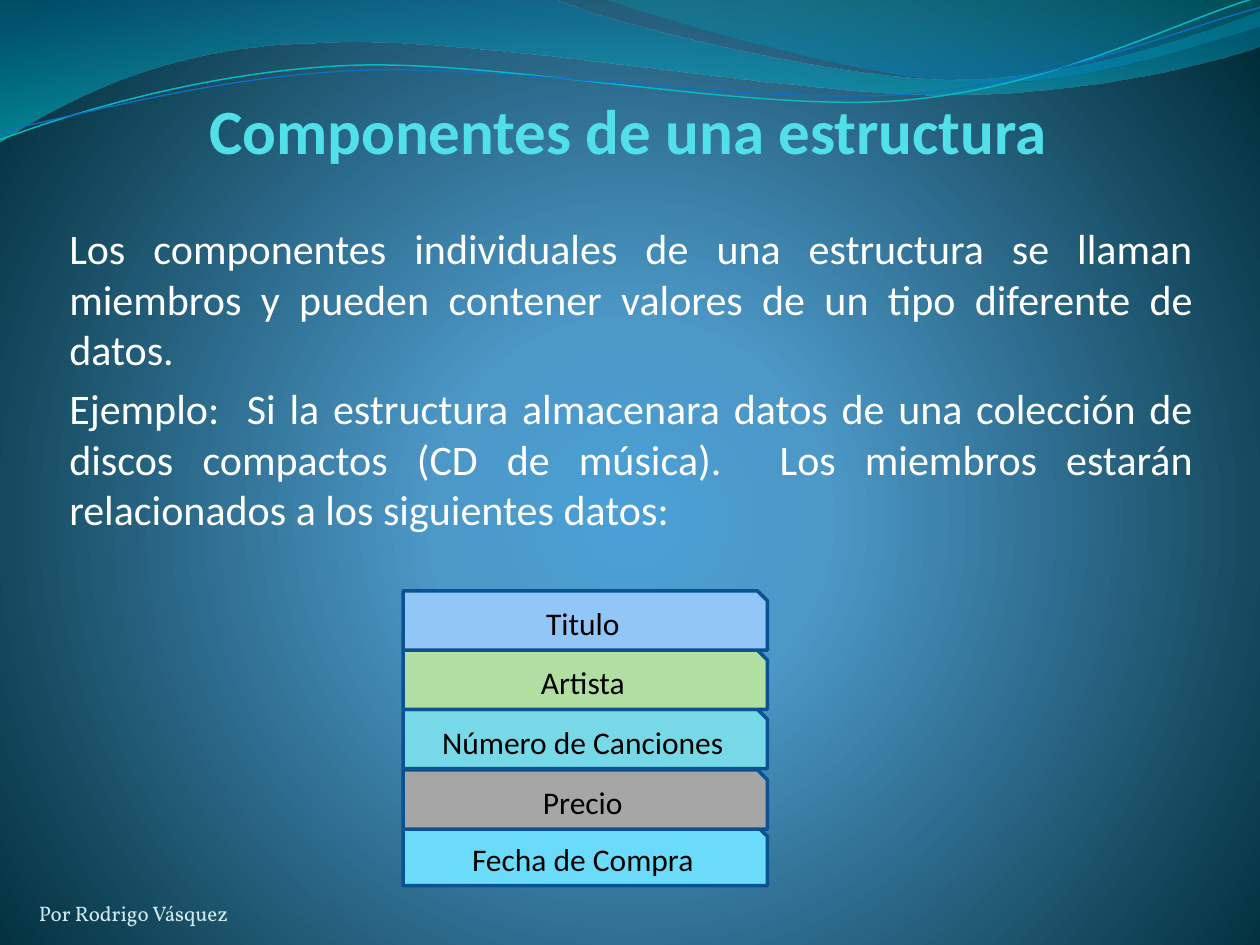
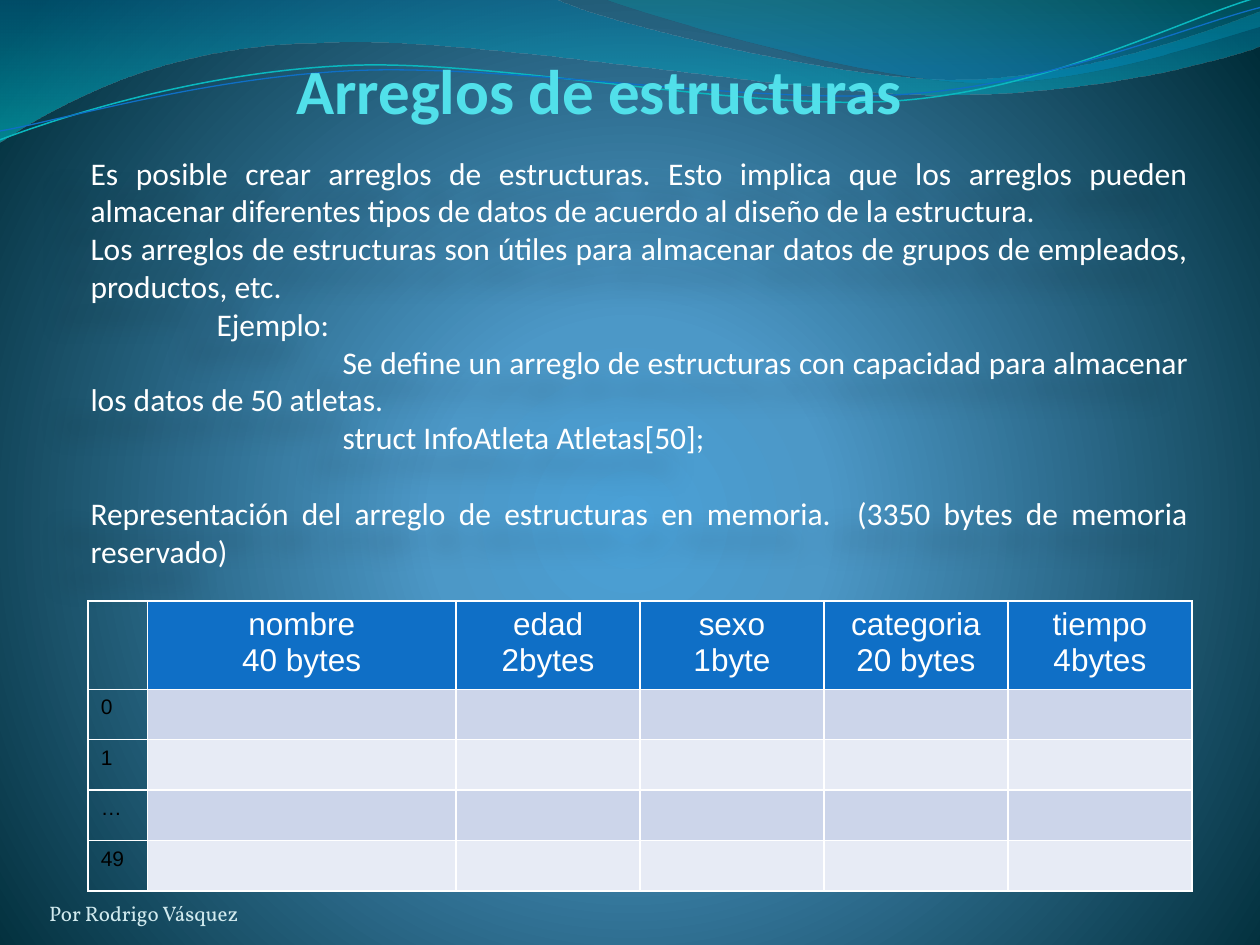
import pptx
import pptx.util
import pptx.dml.color
import pptx.enum.shapes
import pptx.enum.text
import pptx.oxml
import pptx.oxml.ns

Inches = pptx.util.Inches
Pt = pptx.util.Pt
RGBColor = pptx.dml.color.RGBColor
ALIGN = pptx.enum.text.PP_ALIGN
ANCHOR = pptx.enum.text.MSO_ANCHOR
NS = pptx.oxml.ns.nsdecls("a")

WHITE = RGBColor(0xFF, 0xFF, 0xFF)
BLACK = RGBColor(0, 0, 0)
AQUA = RGBColor(0x51, 0xE0, 0xEA)
PALE = RGBColor(0xD1, 0xEA, 0xEE)
NAVY = RGBColor(0x0B, 0x52, 0x92)
TEAL = RGBColor(0x0A, 0xB8, 0xBF)
BLUE = RGBColor(0x0F, 0x6F, 0xC6)
SKY = RGBColor(0x91, 0xC6, 0xF7)
GREEN = RGBColor(0xB0, 0xDF, 0xA1)
CYAN = RGBColor(0x77, 0xD9, 0xE8)
GRAY = RGBColor(0xA6, 0xA6, 0xA6)
BRIGHT = RGBColor(0x6B, 0xDB, 0xFA)
BANDS = RGBColor(0xCC, 0xD5, 0xEA), RGBColor(0xE7, 0xEB, 0xF5)


def write(frame, text, size=18, color=WHITE, font="Calibri", bold=False,
          align=ALIGN.LEFT, anchor=None, pad=None, before=0):
    frame.word_wrap = True
    if anchor is not None:
        frame.vertical_anchor = anchor
    if pad:
        (frame.margin_left, frame.margin_top,
         frame.margin_right, frame.margin_bottom) = map(Inches, pad)
    for i, line in enumerate(text.split("\n")):
        par = frame.add_paragraph() if i else frame.paragraphs[0]
        par.alignment = align
        par.space_before = Pt(before)
        run = par.add_run()
        run.text = line
        run.font.size = Pt(size)
        run.font.name = font
        run.font.bold = bold
        run.font.color.rgb = color


def blend(box, stops, form):
    marks = ""
    for pos, color, alpha in stops:
        clear = f'<a:alpha val="{alpha * 1000}"/>' if alpha < 100 else ""
        marks += f'<a:gs pos="{pos * 1000}"><a:srgbClr val="{color}">{clear}</a:srgbClr></a:gs>'
    fill = pptx.oxml.parse_xml(
        f'<a:gradFill {NS} rotWithShape="1"><a:gsLst>{marks}</a:gsLst>{form}</a:gradFill>')
    box.replace(box.xpath("./a:solidFill")[0], fill)


deck = pptx.Presentation()
deck.slide_width = Inches(10)
deck.slide_height = Inches(7.5)
master = deck.slide_master
plan = deck.slide_layouts[5]

master.background.fill.solid()
blend(master.element.xpath(".//p:bgPr")[0],
      [(0, "4AA0D6", 100), (25, "4C98C7", 100), (100, "002C38", 100)],
      '<a:path path="circle"><a:fillToRect l="10000" t="110000" r="10000" b="100000"/></a:path>')

pages = []
for title, spot, left in (
        ("Componentes de una estructura", (0.62, 0.47, 8.75, 0.86), 0.31),
        ("Arreglos de estructuras", (0.47, 0.31, 8.59, 0.7), 0.39)):
    page = deck.slides.add_slide(plan)
    head = page.shapes.title
    head.left, head.top, head.width, head.height = map(Inches, spot)
    head.text_frame.auto_size = pptx.enum.text.MSO_AUTO_SIZE.NONE
    write(head.text_frame, title, size=36, color=AQUA, bold=True,
          align=ALIGN.CENTER, anchor=ANCHOR.BOTTOM, pad=(0, 0, 0.02, 0))
    foot = page.shapes.add_textbox(Inches(left), Inches(6.95), Inches(3.67), Inches(0.4))
    write(foot.text_frame, "Por Rodrigo Vásquez", size=12, color=PALE,
          font="Vollkorn", anchor=ANCHOR.BOTTOM, pad=(0, 0, 0, 0))
    pages.append(page)
first, second = pages

waves = (
    ([(0, -0.01), (4.4, -0.01), (4.76, 0.17, 6.64, 0.63, 7.58, 0.63),
      (8.53, 0.63, 9.58, 0.26, 10, 0.09), (10.01, 0.36),
      (9.83, 0.44, 8.7, 0.76, 7.46, 0.75), (6.22, 0.75, 3.82, 0.28, 2.57, 0.34),
      (1.29, 0.35, 0.46, 0.83, -0.01, 1.13)],
     [(0, "0074A1", 45), (100, "00C6CF", 55)], None, 0),
    ([(4.79, -0.01), (5.09, 0.11, 6.82, 0.62, 7.69, 0.65),
      (8.56, 0.69, 9.61, 0.32, 10, 0.21), (10, 0)],
     [(0, "00A1A9", 30), (80, "008BBF", 45)], None, 0),
    ([(0, 1.11), (0.48, 0.93, 1.58, 0.57, 2.77, 0.52),
      (3.95, 0.47, 5.93, 0.89, 7.13, 0.8), (8.33, 0.71, 9.38, 0.15, 9.98, -0.02)],
     None, TEAL, 0.85),
    ([(0, 1.04), (0.47, 0.96, 1.64, 0.61, 2.83, 0.56),
      (4.03, 0.51, 5.97, 0.83, 7.17, 0.75), (8.36, 0.67, 9.41, 0.21, 10, 0.06)],
     None, BLUE, 0.75),
)
for n, (route, stops, color, width) in enumerate(waves):
    ends = [(Inches(leg[-2]), Inches(leg[-1])) for leg in route]
    pen = first.shapes.build_freeform(*ends[0])
    pen.add_line_segments(ends[1:], close=stops is not None)
    wave = pen.convert_to_shape()
    for line, leg in zip(wave.element.xpath(".//a:lnTo"), route[1:]):
        if len(leg) == 6:
            dots = "".join(
                f'<a:pt x="{Inches(x) - wave.left}" y="{Inches(y) - wave.top}"/>'
                for x, y in zip(leg[0::2], leg[1::2]))
            line.getparent().replace(line, pptx.oxml.parse_xml(
                f'<a:cubicBezTo {NS}>{dots}</a:cubicBezTo>'))
    wave.shadow.inherit = False
    if stops:
        wave.fill.solid()
        blend(wave.element.spPr, stops, '<a:lin ang="5400000" scaled="0"/>')
        wave.line.fill.background()
    else:
        wave.fill.background()
        wave.line.color.rgb = color
        wave.line.width = Pt(width)
    wave.element.xpath(".//p:cNvPr")[0].set("id", str(20 + n))
    master.shapes.element.insert(2 + n, wave.element)

body = first.shapes.add_textbox(Inches(0.55), Inches(1.72), Inches(8.94), Inches(2.97))
write(body.text_frame,
      "Los componentes individuales de una estructura se llaman miembros y pueden "
      "contener valores de un tipo diferente de datos.\n"
      "Ejemplo:  Si la estructura almacenara datos de una colección de discos "
      "compactos (CD de música).  Los miembros estarán relacionados a los "
      "siguientes datos:",
      size=24, align=ALIGN.JUSTIFY, pad=(0, 0.05, 0.02, 0.05), before=5)

fields = (("Número de Canciones", CYAN, 5.63), ("Artista", GREEN, 5.16),
          ("Titulo", SKY, 4.69), ("Fecha de Compra", BRIGHT, 6.56),
          ("Precio", GRAY, 6.11))
for name, color, top in fields:
    card = first.shapes.add_shape(
        pptx.enum.shapes.MSO_SHAPE.SNIP_1_RECTANGLE,
        Inches(3.2), Inches(top), Inches(2.89), Inches(0.47))
    card.shadow.inherit = False
    card.fill.solid()
    card.fill.fore_color.rgb = color
    card.line.color.rgb = NAVY
    card.line.width = Pt(2)
    write(card.text_frame, name, color=BLACK, align=ALIGN.CENTER, anchor=ANCHOR.MIDDLE)

body = second.shapes.add_textbox(Inches(0.62), Inches(1.17), Inches(8.91), Inches(3.43))
write(body.text_frame,
      "Es posible crear arreglos de estructuras. Esto implica que los arreglos pueden "
      "almacenar diferentes tipos de datos de acuerdo al diseño de la estructura.\n"
      "Los arreglos de estructuras son útiles para almacenar datos de grupos de "
      "empleados, productos, etc.\n"
      "Ejemplo:\n"
      "Se define un arreglo de estructuras con capacidad para almacenar los datos "
      "de 50 atletas.\n"
      "struct InfoAtleta Atletas[50];\n"
      "Representación del arreglo de estructuras en memoria.  (3350 bytes de memoria "
      "reservado)",
      align=ALIGN.JUSTIFY)
lines = body.text_frame.paragraphs
for i, dent in ((2, 1), (3, 2), (4, 2)):
    lines[i]._p.get_or_add_pPr().set("indent", str(Inches(dent)))
lines[5].space_before = Pt(21.6)
body.element.spPr.append(pptx.oxml.parse_xml(
    f'<a:effectLst {NS}><a:outerShdw blurRad="{Inches(0.2)}" dist="{Inches(0.3)}" '
    'dir="8400000" algn="tl" rotWithShape="0"><a:srgbClr val="000000">'
    '<a:alpha val="25000"/></a:srgbClr></a:outerShdw></a:effectLst>'))

heads = ("", "nombre\n40 bytes", "edad\n2bytes", "sexo\n1byte",
         "categoria\n20 bytes", "tiempo\n4bytes")
marks = ("", "0", "1", "…", "49")
grid = second.shapes.add_table(len(marks), len(heads), Inches(0.7), Inches(4.77),
                               Inches(8.75), Inches(2.32)).table
for col, width in zip(grid.columns, (0.47, 2.45, 1.46, 1.46, 1.46, 1.46)):
    col.width = Inches(width)
for r, mark in enumerate(marks):
    grid.rows[r].height = Inches(0.4 if r else 0.7)
    for c, name in enumerate(heads):
        cell = grid.cell(r, c)
        if c == 0:
            cell.fill.background()
            if mark:
                write(cell.text_frame, mark, size=12, color=BLACK, font="Arial")
        else:
            cell.fill.solid()
            cell.fill.fore_color.rgb = BANDS[(r - 1) % 2] if r else BLUE
            if r == 0:
                write(cell.text_frame, name, font="Arial", align=ALIGN.CENTER)
        props = cell._tc.get_or_add_tcPr()
        for i, side in enumerate("LRTB"):
            props.insert(i, pptx.oxml.parse_xml(
                f'<a:ln{side} {NS} w="{Pt(1)}"><a:solidFill>'
                f'<a:srgbClr val="{WHITE}"/></a:solidFill></a:ln{side}>'))

deck.save("out.pptx")
